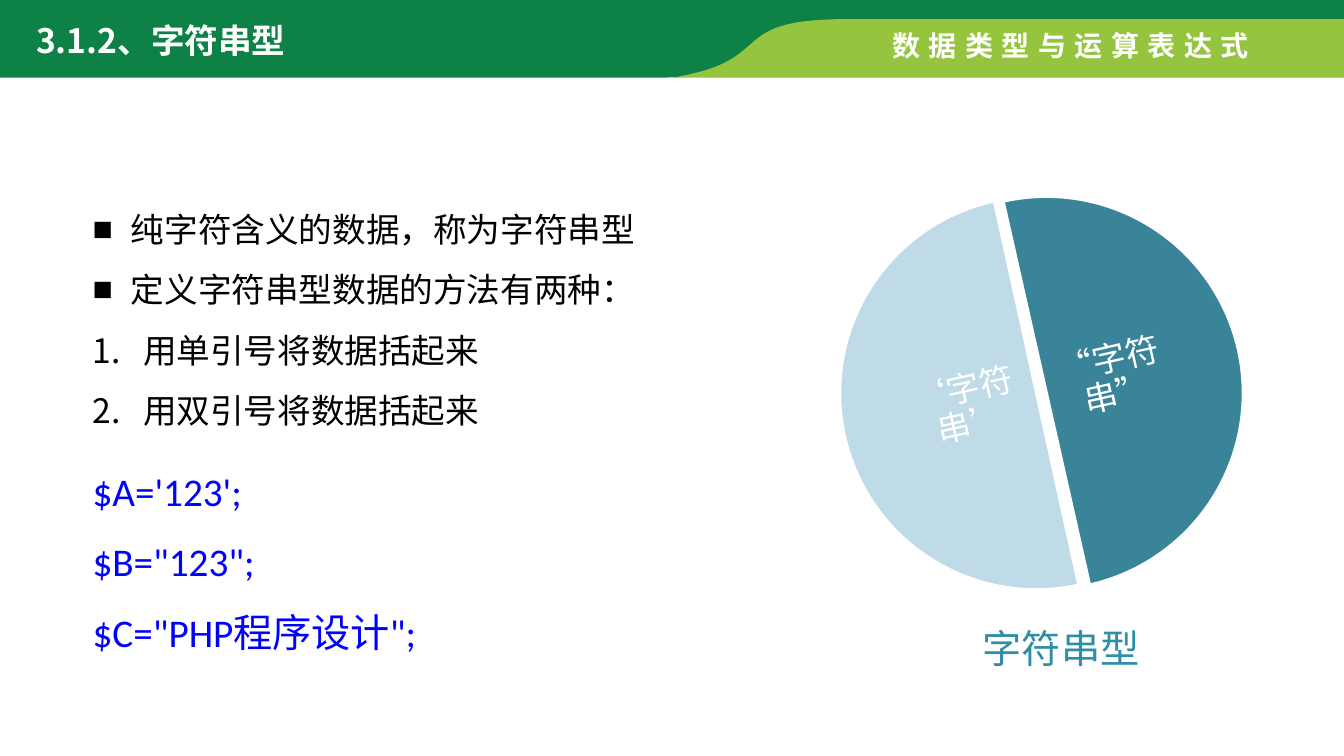
from dataclasses import dataclass

from lxml import etree
from pptx import Presentation
from pptx.dml.color import RGBColor
from pptx.enum.shapes import MSO_SHAPE
from pptx.enum.text import MSO_ANCHOR, MSO_AUTO_SIZE, PP_ALIGN
from pptx.oxml.ns import qn
from pptx.util import Inches, Pt

PIE = MSO_SHAPE.PIE
MIDDLE = MSO_ANCHOR.MIDDLE
TOP = MSO_ANCHOR.TOP
CENTER = PP_ALIGN.CENTER
LEFT = PP_ALIGN.LEFT
GROW = MSO_AUTO_SIZE.SHAPE_TO_FIT_TEXT
FIXED = MSO_AUTO_SIZE.NONE

DARK_GREEN = RGBColor(0x0E, 0x81, 0x46)
LIGHT_GREEN = RGBColor(0x95, 0xC5, 0x3E)
TEAL = RGBColor(0x3A, 0x84, 0x99)
PALE_BLUE = RGBColor(0xBE, 0xDB, 0xE7)
CAPTION_BLUE = RGBColor(0x2E, 0x8E, 0xA8)
CODE_BLUE = RGBColor(0x00, 0x00, 0xFF)
BLACK = RGBColor(0x00, 0x00, 0x00)
WHITE = RGBColor(0xFF, 0xFF, 0xFF)

CHINESE_FONT = "Noto Sans CJK SC"
CURVE_STEPS = 32

Point = tuple[float, float]
Box = tuple[float, float, float, float]


@dataclass
class Line:
    text: str
    bullet: str = ""
    numbered: bool = False
    indent: float = 0


@dataclass
class TextBlock:
    box: Box
    lines: list[Line]
    size: int
    color: RGBColor
    font: str = CHINESE_FONT
    bold: bool = False
    letter_spacing: int = 0
    line_spacing: float = 1.0
    wrap: bool = True
    centered: bool = False
    rotation: float = 0


@dataclass
class HalfDisc:
    left: float
    start: int
    end: int
    rotation: float
    fill: RGBColor
    label: str
    label_left: float
    label_top: float


TEXT_BLOCKS = [
    TextBlock((0.82, 1.82, 6.85, 2.52), [
        Line("纯字符含义的数据，称为字符串型", bullet="■", indent=0.38),
        Line("定义字符串型数据的方法有两种：", bullet="■", indent=0.38),
        Line("用单引号将数据括起来", numbered=True, indent=0.5),
        Line("用双引号将数据括起来", numbered=True, indent=0.5),
    ], 24, BLACK, line_spacing=1.5),
    TextBlock((8.75, 0.23, 3.85, 0.44), [Line("数据类型与运算表达式")], 20, WHITE,
              font="Arial", bold=True, letter_spacing=6, wrap=False),
    TextBlock((0.26, 0.15, 3.77, 0.5), [Line("3.1.2、字符串型")], 24, WHITE, bold=True),
    TextBlock((9.65, 6.14, 1.77, 0.57), [Line("字符串型")], 28, CAPTION_BLUE, wrap=False),
    TextBlock((0.82, 4.35, 4.75, 2.22), [
        Line("$A='123';"),
        Line('$B="123";'),
        Line('$C="PHP程序设计";'),
    ], 28, CODE_BLUE, font="Calibri", line_spacing=1.5),
]

HALF_DISCS = [
    HalfDisc(8.43, 162, 54, 347.3, TEAL, "“字符串”", 10.36, 2.38),
    HalfDisc(8.33, 54, 162, 347.6, PALE_BLUE, "‘字符串’", 8.91, 2.68),
]


def curve(start: Point, first: Point, second: Point, end: Point) -> list[Point]:
    points = []
    for step in range(CURVE_STEPS + 1):
        t = step / CURVE_STEPS
        weights = ((1 - t) ** 3, 3 * t * (1 - t) ** 2, 3 * t ** 2 * (1 - t), t ** 3)
        controls = (start, first, second, end)
        points.append((sum(w * p[0] for w, p in zip(weights, controls)),
                       sum(w * p[1] for w, p in zip(weights, controls))))
    return points


def draw_band(slide, outline: list[Point], fill: RGBColor) -> None:
    points = [(Inches(x), Inches(y)) for x, y in outline]
    builder = slide.shapes.build_freeform(*points[0])
    builder.add_line_segments(points[1:], close=True)
    shape = builder.convert_to_shape()
    shape.shadow.inherit = False
    shape.fill.solid()
    shape.fill.fore_color.rgb = fill
    shape.line.fill.background()


def add_bullet(paragraph, line: Line) -> None:
    if not line.indent:
        return
    properties = paragraph._p.get_or_add_pPr()
    properties.set("marL", str(Inches(line.indent)))
    properties.set("indent", str(-Inches(line.indent)))
    if line.numbered:
        etree.SubElement(properties, qn("a:buFont"), typeface="+mj-lt")
        etree.SubElement(properties, qn("a:buAutoNum"), type="arabicPeriod")
    else:
        etree.SubElement(properties, qn("a:buFont"), typeface="Arial")
        etree.SubElement(properties, qn("a:buChar"), char=line.bullet)


def draw_text(slide, block: TextBlock) -> None:
    shape = slide.shapes.add_textbox(*map(Inches, block.box))
    shape.rotation = block.rotation
    frame = shape.text_frame
    frame.word_wrap = block.wrap
    frame.auto_size = FIXED if block.centered else GROW
    frame.vertical_anchor = MIDDLE if block.centered else TOP
    if block.centered:
        frame.margin_left = frame.margin_right = Inches(0.03)
        frame.margin_top = frame.margin_bottom = Inches(0.03)
    frame.text = "\n".join(line.text for line in block.lines)
    for paragraph, line in zip(frame.paragraphs, block.lines):
        add_bullet(paragraph, line)
        paragraph.alignment = CENTER if block.centered else LEFT
        paragraph.line_spacing = block.line_spacing
        for run in paragraph.runs:
            run.font.name = block.font
            run.font.size = Pt(block.size)
            run.font.bold = block.bold
            run.font.color.rgb = block.color
            properties = run._r.get_or_add_rPr()
            properties.set("lang", "zh-CN")
            if block.letter_spacing:
                properties.set("spc", str(block.letter_spacing * 100))
            etree.SubElement(properties, qn("a:ea"), typeface=CHINESE_FONT)


def draw_half_disc(slide, disc: HalfDisc) -> None:
    shape = slide.shapes.add_shape(PIE, Inches(disc.left), Inches(1.95), Inches(3.9), Inches(3.9))
    shape.adjustments[0] = disc.start
    shape.adjustments[1] = disc.end
    shape.rotation = disc.rotation
    shape.shadow.inherit = False
    shape.fill.solid()
    shape.fill.fore_color.rgb = disc.fill
    shape.line.color.rgb = WHITE
    shape.line.width = Pt(2)
    draw_text(slide, TextBlock((disc.label_left, disc.label_top, 1.37, 2.74), [Line(disc.label)],
                               24, WHITE, font="Arial", line_spacing=0.9, centered=True,
                               rotation=disc.rotation))


def main() -> None:
    presentation = Presentation()
    presentation.slide_width = Inches(13.33)
    presentation.slide_height = Inches(7.5)
    slide = presentation.slides.add_slide(presentation.slide_layouts[6])

    dark_curve = curve((8.09, 0.28), (7.27, 0.44), (7.7, 0.77), (6.55, 0.77))
    light_curve = curve((6.67, 0.77), (7.73, 0.6), (7.17, 0.19), (8.39, 0.19))
    draw_band(slide, [(0, -0.03), (13.33, -0.03), (13.33, 0.24), (8.27, 0.24),
                      *dark_curve, (0, 0.77)], DARK_GREEN)
    draw_band(slide, [(13.33, 0.19), (13.33, 0.77), *light_curve], LIGHT_GREEN)
    for disc in HALF_DISCS:
        draw_half_disc(slide, disc)
    for block in TEXT_BLOCKS:
        draw_text(slide, block)
    presentation.save("out.pptx")


if __name__ == "__main__":
    main()
